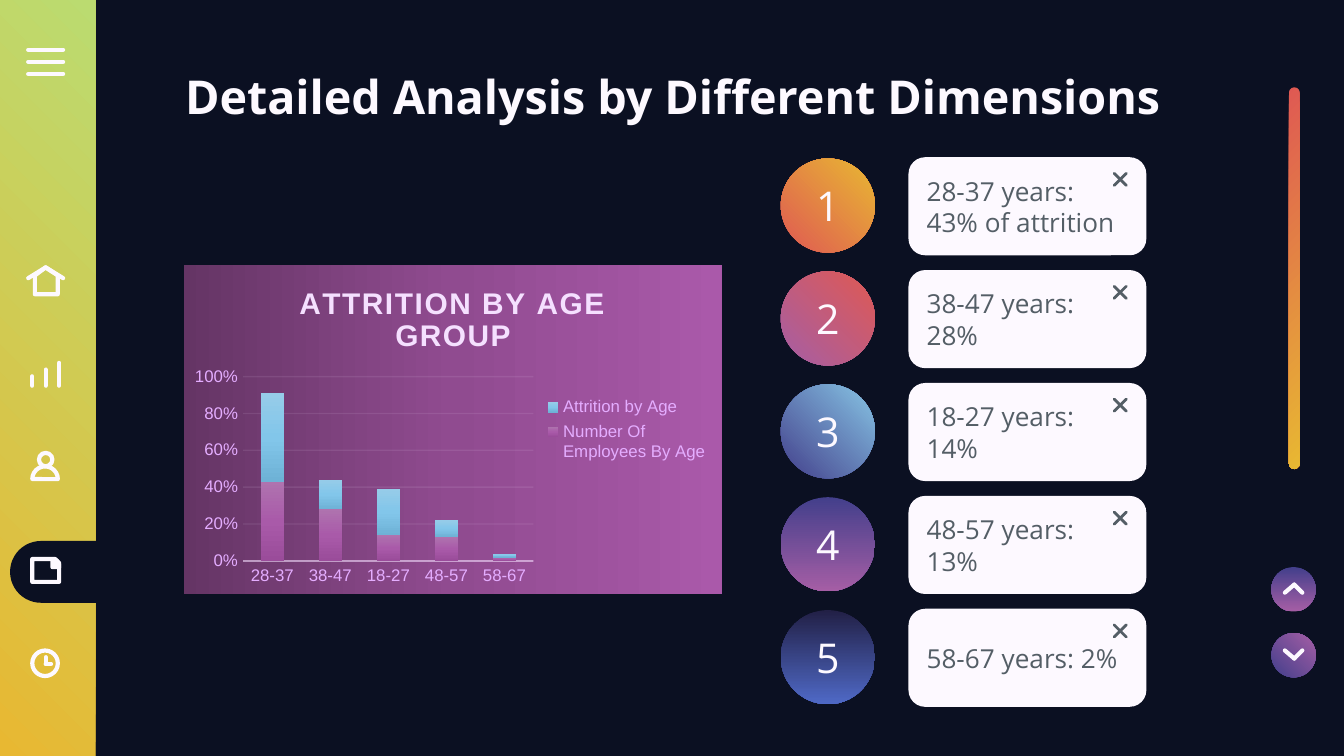
from copy import deepcopy

from pptx import Presentation
from pptx.chart.data import CategoryChartData
from pptx.dml.color import RGBColor
from pptx.dml.fill import FillFormat
from pptx.enum.chart import XL_CHART_TYPE, XL_LEGEND_POSITION, XL_TICK_MARK
from pptx.enum.shapes import MSO_CONNECTOR, MSO_SHAPE
from pptx.enum.text import MSO_ANCHOR, PP_ALIGN
from pptx.oxml import parse_xml
from pptx.oxml.ns import nsdecls, qn
from pptx.oxml.xmlchemy import OxmlElement
from pptx.util import Inches, Pt

NIGHT, WHITE, GRAY = "0B1022", "FDF9FF", "545E66"
GOLD, RED, PLUM, BLUE = "E8B832", "DF5953", "A55EA5", "433F8B"
LILAC, PALE = "E4ADFF", "F5E0FF"


def paint(fill, *colors, ang=0, alpha=100):
    """Fill with nothing, one colour, or evenly spaced stops at a clockwise angle."""
    if not colors:
        fill.background()
    elif len(colors) == 1:
        fill.solid()
        fill.fore_color.rgb = RGBColor.from_string(colors[0])
        if alpha < 100:
            tone = fill._xPr.find(".//" + qn("a:srgbClr"))
            tone.append(parse_xml(f'<a:alpha {nsdecls("a")} val="{alpha * 1000}"/>'))
    else:
        fill.gradient()
        fill.gradient_angle = (360 - ang) % 360
        stops = fill._xPr.find(".//" + qn("a:gsLst"))
        for _ in colors[2:]:
            stops.append(deepcopy(stops[-1]))
        for i, (stop, color) in enumerate(zip(fill.gradient_stops, colors)):
            stop.color.rgb = RGBColor.from_string(color)
            stop.position = i / (len(colors) - 1)


def text(frame, words, size=14, color=WHITE, bold=False, font="Open Sans",
         align=PP_ALIGN.CENTER):
    frame.word_wrap = True
    frame.vertical_anchor = MSO_ANCHOR.MIDDLE
    frame.margin_left = frame.margin_right = Inches(0.1)
    frame.margin_top = frame.margin_bottom = Inches(0.1)
    para = frame.paragraphs[0]
    para.alignment = align
    run = para.add_run()
    run.text = words
    run.font.size, run.font.bold, run.font.name = Pt(size), bold, font
    paint(run.font.fill, color)
    return run


deck = Presentation()
deck.slide_width = Inches(10)
deck.slide_height = deck.slide_width * 9 // 16
slide = deck.slides.add_slide(deck.slide_layouts[6])
paint(slide.background.fill, NIGHT)
shapes = slide.shapes

# Shapes: kind, box, turn, adjustments, colours, angle; no colours means an outline
forms = [
    (MSO_SHAPE.RECTANGLE, (0, 0, 0.71, 5.63), 0, [], (GOLD, "BBDB70"), 315),
    (MSO_SHAPE.ROUNDED_RECTANGLE, (8.21, 2.03, 2.84, 0.08), 90, [0.5], (RED, GOLD), 315),
    (MSO_SHAPE.OVAL, (9.46, 4.71, 0.33, 0.33), 180, [], (BLUE, PLUM), 135),
    (MSO_SHAPE.OVAL, (9.46, 4.22, 0.33, 0.33), 0, [], (BLUE, PLUM), 90),
    (MSO_SHAPE.ROUND_2_SAME_RECTANGLE, (0.21, 3.89, 0.46, 0.73), 270, [0.5, 0], (NIGHT,), 0),
    (MSO_SHAPE.OVAL, (0.29, 3.37, 0.1, 0.1), 0, [], (), 0),
    (MSO_SHAPE.PIE, (0.24, 3.47, 0.19, 0.19), 90, [54.33, 162], (), 0),
    (MSO_SHAPE.SNIP_1_RECTANGLE, (0.24, 4.16, 0.2, 0.17), 0, [0.17], (), 0),
    (MSO_SHAPE.OVAL, (0.24, 4.84, 0.19, 0.19), 0, [], (), 0),
]
# Lines: x1, y1, x2, y2
strokes = [(0.21, y, 0.47, y) for y in (0.37, 0.46, 0.55)]  # menu
strokes += [(9.63, 4.9, x, 4.84) for x in (9.56, 9.69)]  # down
strokes += [(9.63, 4.35, x, 4.41) for x in (9.56, 9.69)]  # up
strokes += [(x, 2.07, 0.34, 1.99) for x in (0.21, 0.47)]  # roof
strokes += [(x, y, x, 2.87) for x, y in ((0.24, 2.8), (0.34, 2.75), (0.44, 2.7))]  # bars
strokes += [(0.34, 4.89, 0.34, 4.94), (0.38, 4.94, 0.34, 4.94)]  # clock hands
lines = [(ends, WHITE, 2.25) for ends in strokes]

rows = [
    ("28-37 years: 43% of attrition", (RED, GOLD), 315),
    ("38-47 years: 28%", (PLUM, RED), 315),
    ("18-27 years: 14%", (BLUE, "87C5E5"), 315),
    ("48-57 years: 13%", (BLUE, PLUM), 90),
    ("58-67 years: 2%", ("222046", "4F69C6"), 90),
]
labels = {}
for i, (words, colors, ang) in enumerate(rows):
    top = 1.17 + 0.84 * i
    labels[len(forms)] = dict(words=words, color=GRAY, align=PP_ALIGN.LEFT)
    forms.append((MSO_SHAPE.ROUNDED_RECTANGLE, (6.76, top, 1.77, 0.73), 0, [0.17], (WHITE,), 0))
    labels[len(forms)] = dict(words=str(i + 1), size=22)
    forms.append((MSO_SHAPE.OVAL, (5.81, top + 0.01, 0.7, 0.7), 0, [], colors, ang))
    low, high = top + 0.12, top + 0.21
    lines += [((8.29, low, 8.38, high), GRAY, 1.5), ((8.38, low, 8.29, high), GRAY, 1.5)]

for i, (kind, box, turn, adjust, colors, ang) in enumerate(forms):
    shape = shapes.add_shape(kind, *map(Inches, box))
    shape.shadow.inherit = False
    shape.rotation = turn
    for j, value in enumerate(adjust):
        shape.adjustments[j] = value
    paint(shape.fill, *colors, ang=ang)
    if colors:
        paint(shape.line.fill)
    else:
        paint(shape.line.fill, WHITE)
        shape.line.width = Pt(2.25)
    if i in labels:
        text(shape.text_frame, **labels[i])

# House walls and the folded corner of the page
walls = [(0.26, 2.05), (0.26, 2.19), (0.43, 2.19), (0.43, 2.05), (0.34, 1.99)]
fold = [(0.39, 4.17), (0.42, 4.17), (0.44, 4.2), (0.44, 4.22), (0.39, 4.22)]
for points, colors in ((walls, ()), (fold, (WHITE,))):
    start, *rest = [(Inches(x), Inches(y)) for x, y in points]
    pen = shapes.build_freeform(*start)
    pen.add_line_segments(rest, close=True)
    shape = pen.convert_to_shape()
    shape.shadow.inherit = False
    paint(shape.fill, *colors)
    paint(shape.line.fill, WHITE)
    shape.line.width = Pt(2.25)

for ends, color, width in lines:
    line = shapes.add_connector(MSO_CONNECTOR.STRAIGHT, *map(Inches, ends))
    paint(line.line.fill, color)
    line.line.width = Pt(width)
    props = line._element.spPr
    props.find(qn("a:ln")).set("cap", "rnd")
    props.append(OxmlElement("a:effectLst"))

title = shapes.add_textbox(Inches(0.79), Inches(0.4), Inches(8.43), Inches(0.63))
text(title.text_frame, "Detailed Analysis by Different Dimensions", size=25, bold=True)

# Chart
data = CategoryChartData(number_format="0%")
data.categories = ["28-37", "38-47", "18-27", "48-57", "58-67"]
data.add_series("Number Of Employees By Age", [0.43, 0.28, 0.14, 0.13, 0.02])
data.add_series("Attrition by Age", [0.48, 0.16, 0.25, 0.09, 0.02])
chart = shapes.add_chart(XL_CHART_TYPE.COLUMN_STACKED, Inches(1.37), Inches(1.97),
                         Inches(4), Inches(2.45), data).chart
chart.font.name, chart.font.size = "Arial", Pt(9)
paint(chart.font.fill, LILAC)
head = text(chart.chart_title.text_frame, "ATTRITION BY AGE GROUP", size=16,
            color=PALE, bold=True, font="Arial")
head.font._element.set("spc", "100")
chart.chart_title.include_in_layout = False

back = parse_xml(f'<c:spPr {nsdecls("c", "a")}/>')
chart._chartSpace.find(qn("c:chart")).addnext(back)
paint(FillFormat.from_fill_parent(back), "653565", "904B90", "AA59AA")
back.append(parse_xml(f'<a:ln {nsdecls("a")}><a:noFill/></a:ln>'))

chart.has_legend = True
chart.legend.position = XL_LEGEND_POSITION.RIGHT
chart.legend.include_in_layout = False

plot = chart.plots[0]
plot.gap_width, plot.overlap, plot.vary_by_categories = 150, 100, False
shades = [("AF73AF", "A95AA9", "9A4C9A"), ("96CCE9", "82C6EA", "6EB2D6")]
for series, colors in zip(plot.series, shades):
    paint(series.format.fill, *colors, ang=90)

for axis in (chart.category_axis, chart.value_axis):
    axis.major_tick_mark = axis.minor_tick_mark = XL_TICK_MARK.NONE
    axis.tick_labels.font.size, axis.tick_labels.font.name = Pt(9), "Arial"
    paint(axis.tick_labels.font.fill, LILAC)
base = chart.category_axis.format.line
paint(base.fill, PALE, alpha=54)
base.width = Pt(1)
scale = chart.value_axis
scale.minimum_scale, scale.maximum_scale, scale.major_unit = 0, 1, 0.2
scale.tick_labels.number_format = "0%"
scale.tick_labels.number_format_is_linked = False
paint(scale.format.line.fill)
grid = scale.major_gridlines.format.line
paint(grid.fill, PALE, alpha=10)
grid.width = Pt(0.75)

frame = "".join(f'<c:{key} val="{value}"/>' for key, value in (
    ("layoutTarget", "inner"), ("xMode", "edge"), ("yMode", "edge"),
    ("x", 0.11), ("y", 0.34), ("w", 0.54), ("h", 0.56)))
area = chart._chartSpace.find(".//" + qn("c:plotArea"))
for old in area.findall(qn("c:layout")):
    area.remove(old)
area.insert(0, parse_xml(
    f'<c:layout {nsdecls("c")}><c:manualLayout>{frame}</c:manualLayout></c:layout>'))

deck.save("out.pptx")
